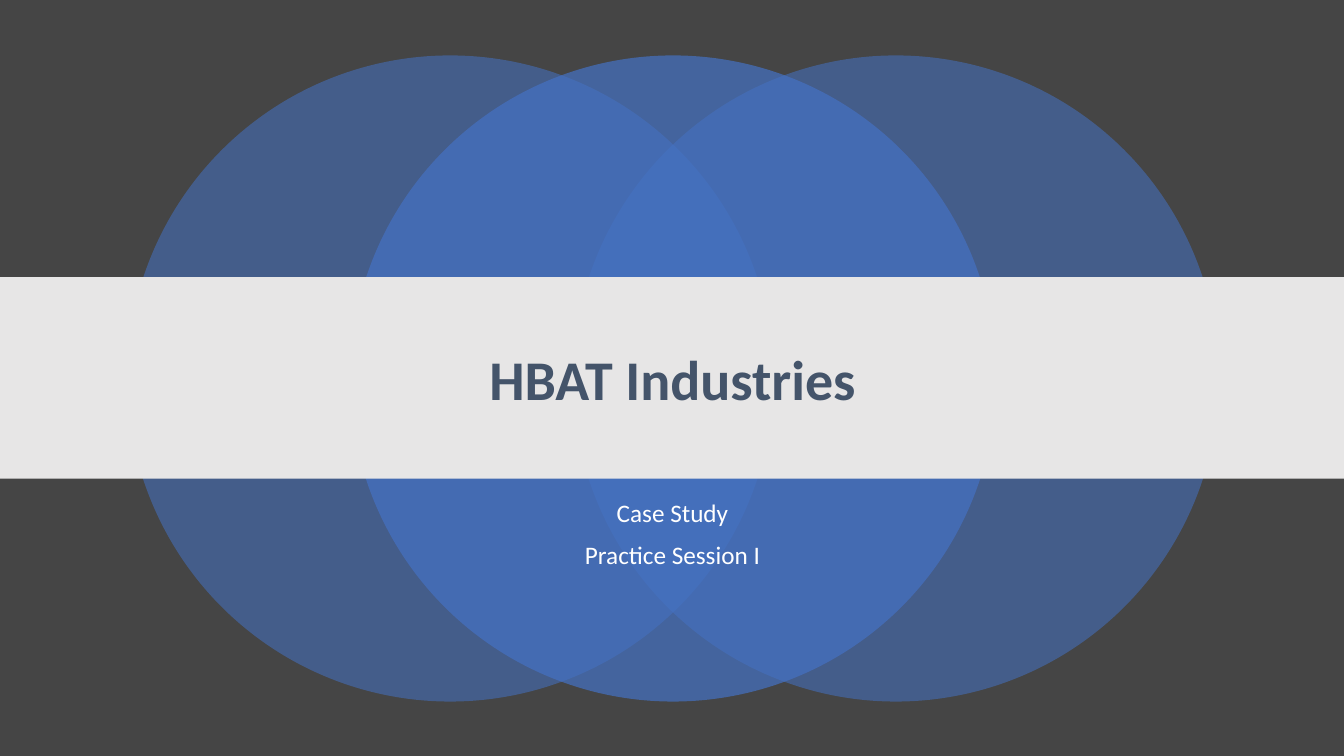
from lxml import etree
from pptx import Presentation
from pptx.dml.color import RGBColor
from pptx.enum.shapes import MSO_SHAPE
from pptx.enum.text import MSO_ANCHOR, MSO_AUTO_SIZE, PP_ALIGN
from pptx.oxml.ns import qn
from pptx.util import Inches, Pt

OVAL, RECT = MSO_SHAPE.OVAL, MSO_SHAPE.RECTANGLE
MIDDLE, TOP = MSO_ANCHOR.MIDDLE, MSO_ANCHOR.TOP
CENTER, FIXED = PP_ALIGN.CENTER, MSO_AUTO_SIZE.NONE


def paint(fill, color):
    fill.solid()
    fill.fore_color.rgb = RGBColor.from_string(color)


def draw(shapes, kind, box, color):
    shape = shapes.add_shape(kind, *map(Inches, box))
    shape.shadow.inherit = False
    shape.line.fill.background()
    paint(shape.fill, color)
    return shape


deck = Presentation()
deck.slide_width, deck.slide_height = Inches(13.33), Inches(7.5)
slide = deck.slides.add_slide(deck.slide_layouts[0])
paint(slide.background.fill, "454545")

group = slide.shapes.add_group_shape()
for step, alpha in ((0, 55), (2, 55), (1, 70)):
    disc = draw(group.shapes, OVAL, (1.26 + 2.21 * step, 0.55, 6.41, 6.41), "4472C4")
    tint = disc.element.spPr.find(qn("a:solidFill"))[0]
    etree.SubElement(tint, qn("a:alpha"), val=str(alpha * 1000))

draw(slide.shapes, RECT, (0, 2.75, 13.33, 2), "E7E6E6")

title, body = slide.placeholders
texts = (
    (title, (1.67, 3.04, 10, 1.51), MIDDLE, ["HBAT Industries"], "44546A", 0,
     {"name": "Calibri", "size": Pt(40), "bold": True}),
    (body, (1.67, 4.92, 10, 0.83), TOP, ["Case Study", "Practice Session I"], "FFFFFF", 10,
     {"name": "Calibri", "size": Pt(18), "bold": False}),
)
for holder, box, anchor, lines, color, gap, style in texts:
    holder.left, holder.top, holder.width, holder.height = map(Inches, box)
    frame = holder.text_frame
    frame.text = "\n".join(lines)
    frame.word_wrap = True
    frame.auto_size = FIXED
    frame.vertical_anchor = anchor
    for para in frame.paragraphs:
        para.alignment = CENTER
        para.line_spacing = 0.9
        para.space_before = Pt(gap)
        font = para.runs[0].font
        paint(font.fill, color)
        for key, value in style.items():
            setattr(font, key, value)
    slide.shapes.element.append(holder.element)

deck.save("out.pptx")
